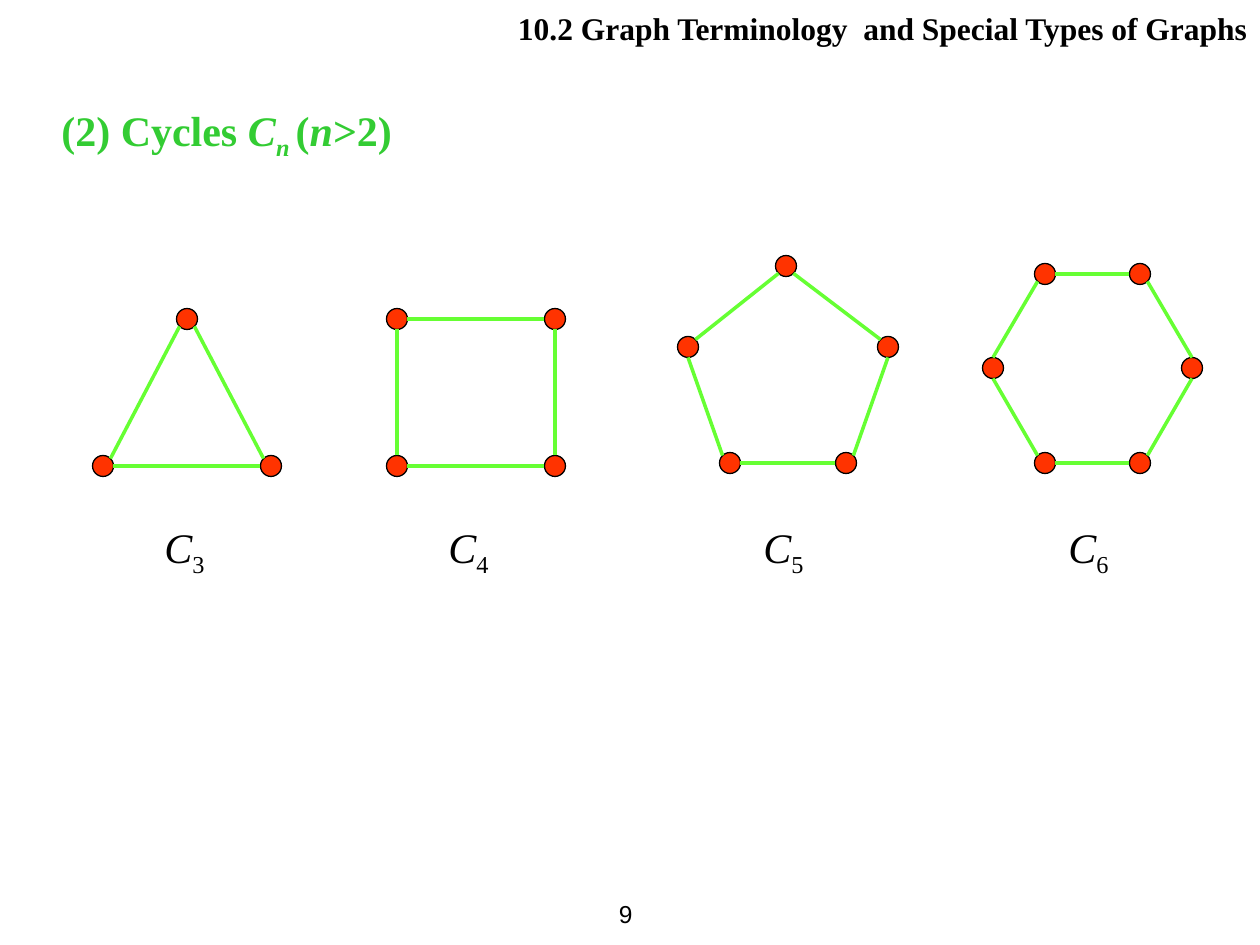
import math
from dataclasses import dataclass

import pptx
import pptx.dml.color
import pptx.enum.shapes
import pptx.enum.text
import pptx.oxml.ns
import pptx.util
from lxml import etree

LEFT = pptx.enum.text.PP_ALIGN.LEFT
RIGHT = pptx.enum.text.PP_ALIGN.RIGHT


@dataclass(frozen=True)
class Theme:
    black: str = "000000"
    heading: str = "33CC33"
    node: str = "FF3300"
    edge: str = "66FF33"
    serif: str = "Times New Roman"
    sans: str = "Arial"
    title_size: int = 18
    body_size: int = 24
    page_size: int = 14
    outline: float = 0.75
    edge_width: int = 2


THEME = Theme()

# Runs are (text, style): b = bold, i = italic, s = subscript
SECTION_TITLE = [("10.2 Graph Terminology  and Special Types of Graphs", "b")]
HEADING = [("(2) Cycles ", "b"), ("C", "bi"), ("n ", "bis"),
           ("(", "b"), ("n", "bi"), (">2)", "b")]
PAGE_NUMBER = [("9", "")]

# Nodes run clockwise from the bottom left; each edge leads to the next node
# and names the side of the node it leaves and the side it reaches.
CYCLES = [
    {"label_left": 152,
     "nodes": [(103, 466), (187, 319), (271, 466)],
     "edges": ["NE SW", "SE NW", "W E"]},
    {"label_left": 436,
     "nodes": [(397, 466), (397, 319), (555, 319), (555, 466)],
     "edges": ["N S", "E W", "S N", "W E"]},
    {"label_left": 751,
     "nodes": [(730, 463), (688, 347), (786, 266), (888, 347), (846, 463)],
     "edges": ["NW S", "NE SW", "SE NW", "S NE", "W E"]},
    {"label_left": 1056,
     "nodes": [(1045, 463), (993, 368), (1045, 274),
               (1140, 274), (1192, 368), (1140, 463)],
     "edges": ["NW S", "N SW", "E W", "SE N", "S NE", "W E"]},
]
NODE_SIZE = 21
LABEL_TOP, LABEL_WIDTH, LABEL_HEIGHT = 515, 95, 71
SIDES = ["E", "SE", "S", "SW", "W", "NW", "N", "NE"]


def px(length):
    return pptx.util.Emu(round(length * 914400 / 126))


def rgb(colour):
    return pptx.dml.color.RGBColor.from_string(colour)


def add_text(slide, box, runs, size, font=THEME.serif, colour=THEME.black, align=LEFT):
    frame = slide.shapes.add_textbox(*map(px, box)).text_frame
    frame.word_wrap = True
    paragraph = frame.paragraphs[0]
    paragraph.alignment = align
    for text, style in runs:
        run = paragraph.add_run()
        run.text = text
        run.font.name = font
        run.font.size = pptx.util.Pt(size)
        run.font.color.rgb = rgb(colour)
        run.font.bold = "b" in style
        run.font.italic = "i" in style
        if "s" in style:
            run.font._element.set("baseline", "-25000")
    return frame


def add_node(group, centre):
    x, y = centre
    node = group.shapes.add_shape(
        pptx.enum.shapes.MSO_SHAPE.FLOWCHART_CONNECTOR,
        px(x - NODE_SIZE / 2), px(y - NODE_SIZE / 2), px(NODE_SIZE), px(NODE_SIZE))
    node.shadow.inherit = False
    node.fill.solid()
    node.fill.fore_color.rgb = rgb(THEME.node)
    node.line.color.rgb = rgb(THEME.black)
    node.line.width = pptx.util.Pt(THEME.outline)


def rim_point(centre, side):
    """Point on a node's rim at a compass side, in EMU."""
    angle = SIDES.index(side) * math.pi / 4
    x, y = centre
    return (px(x + NODE_SIZE / 2 * math.cos(angle)),
            px(y + NODE_SIZE / 2 * math.sin(angle)))


def add_edge(group, start, end):
    edge = group.shapes.add_connector(
        pptx.enum.shapes.MSO_CONNECTOR.STRAIGHT, *start, *end)
    edge.line.color.rgb = rgb(THEME.edge)
    edge.line.width = pptx.util.Pt(THEME.edge_width)
    etree.SubElement(edge._element.spPr, pptx.oxml.ns.qn("a:effectLst"))


def add_cycle(slide, cycle):
    nodes = cycle["nodes"]
    group = slide.shapes.add_group_shape()
    for centre in nodes:
        add_node(group, centre)
    for i, sides in enumerate(cycle["edges"]):
        leaving, reaching = sides.split()
        add_edge(group, rim_point(nodes[i], leaving),
                 rim_point(nodes[(i + 1) % len(nodes)], reaching))
    add_text(slide, (cycle["label_left"], LABEL_TOP, LABEL_WIDTH, LABEL_HEIGHT),
             [("C", "i"), (str(len(nodes)), "s")], THEME.body_size)


def main():
    deck = pptx.Presentation()
    deck.slide_width, deck.slide_height = px(1260), px(945)
    slide = deck.slides.add_slide(deck.slide_layouts[6])

    add_text(slide, (501, 3, 759, 88), SECTION_TITLE, THEME.title_size, align=RIGHT)
    add_text(slide, (49, 98, 1160, 71), HEADING, THEME.body_size, colour=THEME.heading)
    for cycle in CYCLES:
        add_cycle(slide, cycle)
    page = add_text(slide, (561, 882, 84, 63), PAGE_NUMBER, THEME.page_size,
                    font=THEME.sans, align=RIGHT)
    page.vertical_anchor = pptx.enum.text.MSO_ANCHOR.MIDDLE

    deck.save("out.pptx")


if __name__ == "__main__":
    main()
